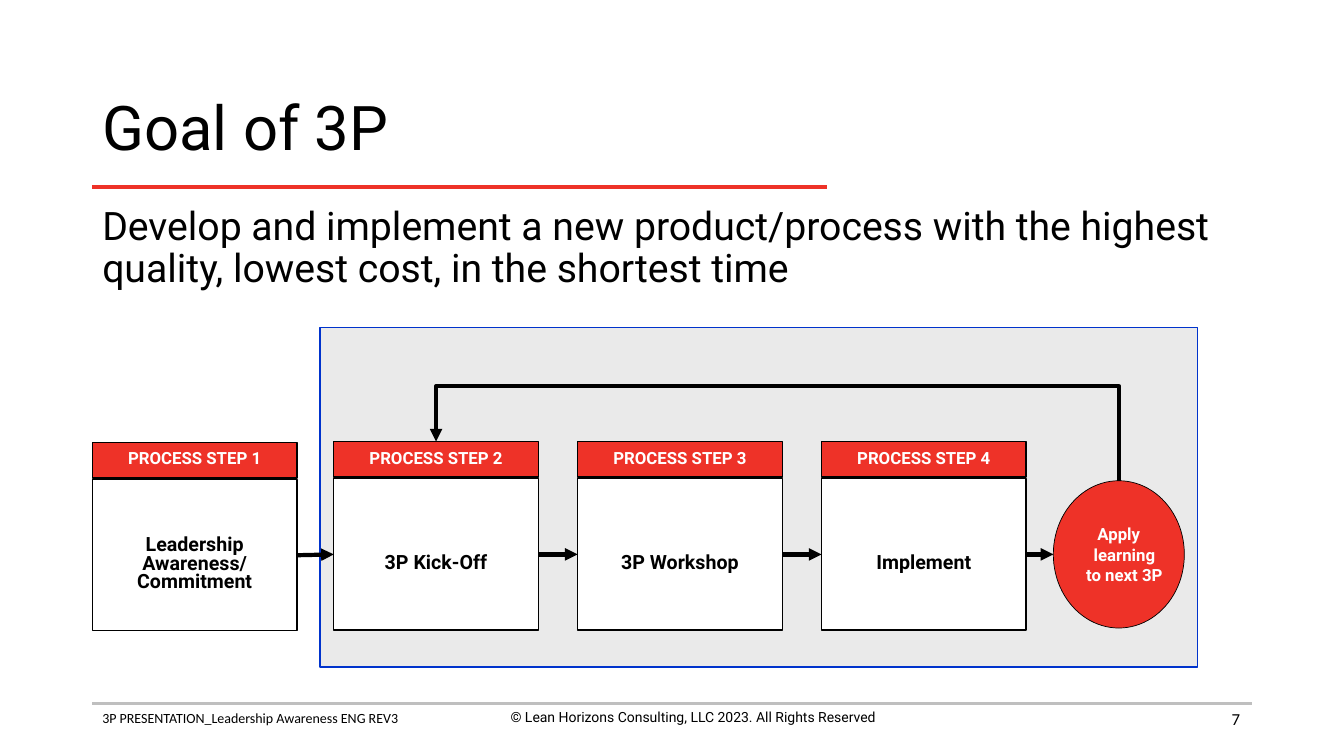
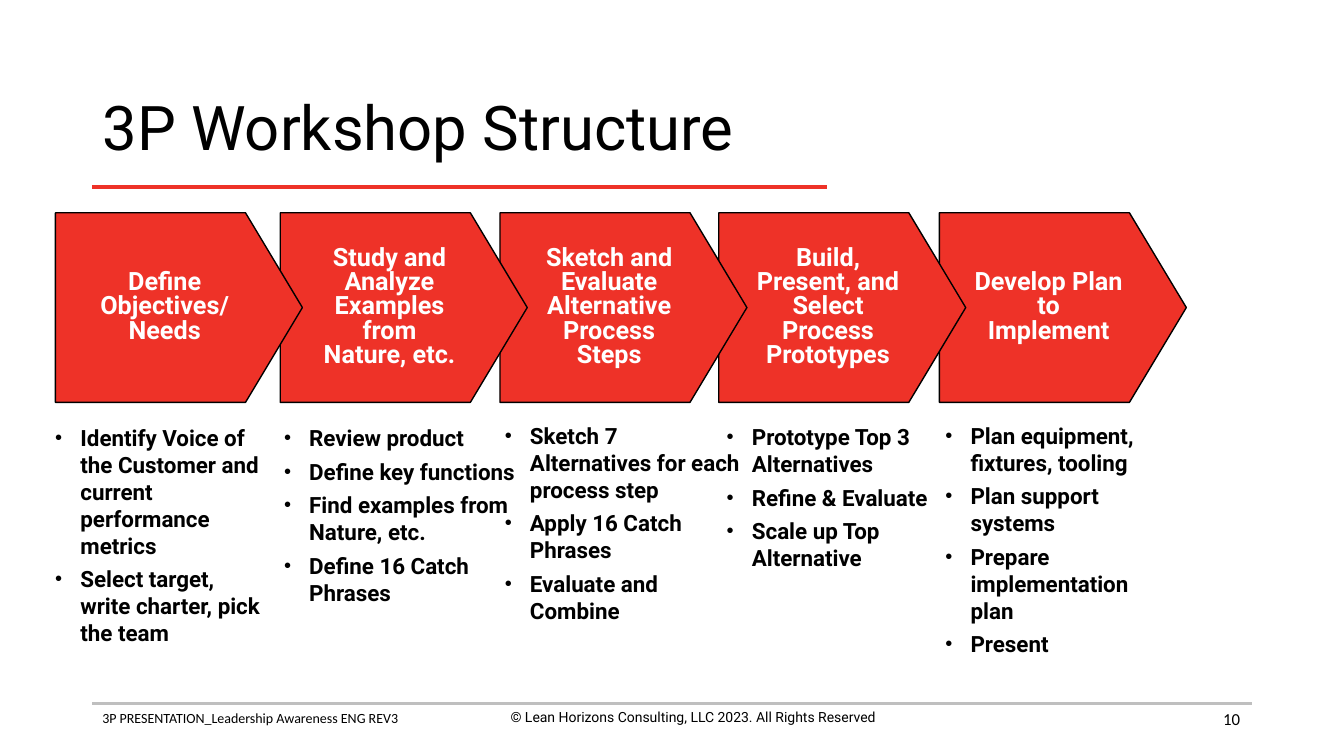
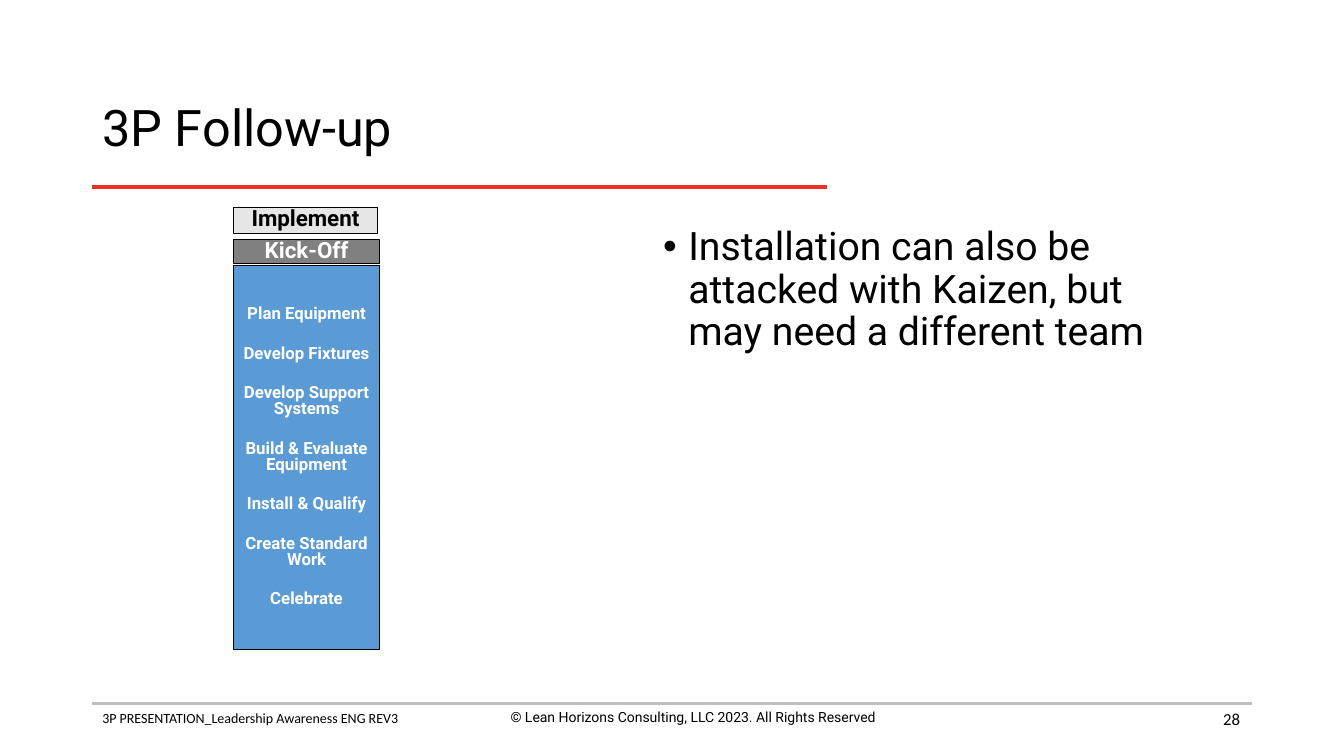
from pptx import Presentation
from pptx.dml.color import RGBColor
from pptx.enum import shapes, text
from pptx.oxml.ns import qn
from pptx.util import Pt
from lxml import etree

RED, BLACK, WHITE, RULE_GRAY = "EE3228", "000000", "FFFFFF", "BFBFBF"
LEFT, CENTER, RIGHT = text.PP_ALIGN.LEFT, text.PP_ALIGN.CENTER, text.PP_ALIGN.RIGHT
TOP, MIDDLE = text.MSO_ANCHOR.TOP, text.MSO_ANCHOR.MIDDLE
SHAPE, CONNECTOR = shapes.MSO_SHAPE, shapes.MSO_CONNECTOR


def rgb(hex_color):
    return RGBColor.from_string(hex_color)


def add_xml(parent, tag, **attributes):
    return etree.SubElement(parent, qn(tag), attributes)


class Deck:
    """The shared style and the slide being built."""

    font = "Roboto"
    margin, content_width = 66, 828

    def __init__(self):
        self.prs = Presentation()
        self.prs.slide_width, self.prs.slide_height = Pt(960), Pt(540)
        self.slide = None

    def new_slide(self, title, number, title_size=44):
        self.slide = self.prs.slides.add_slide(self.prs.slide_layouts[5])
        # Footer and rules
        right = self.margin + self.content_width
        self.line((self.margin, 502.5), (right, 502.5), RULE_GRAY, 2)
        self.textbox((self.margin, 503.5, 328, 32),
                     ["3P PRESENTATION_Leadership Awareness ENG REV3"], 10, font="Calibri")
        self.textbox((331, 502.5, 328, 32),
                     ["© Lean Horizons Consulting, LLC 2023. All Rights Reserved"],
                     10, align=CENTER)
        self.line((self.margin, 133.5), (590.5, 133.5), RED, 3)
        self.textbox((677, 499, 216, 29), [number], 12, font="Calibri",
                     align=RIGHT, anchor=MIDDLE)
        # Title
        heading = self.slide.shapes.title
        heading.left, heading.top = Pt(self.margin), Pt(53.5)
        heading.width, heading.height = Pt(self.content_width), Pt(79)
        self.set_text(heading, [title], title_size, spacing=0.9, anchor=MIDDLE)

    def set_text(self, shape, paragraphs, size, color=BLACK, bold=False, font=None,
                 align=LEFT, anchor=TOP, spacing=None, before=0, bullet=None,
                 hanging=0, insets=(7.2, 3.6, 7.2, 3.6), wrap=True):
        """Fill a shape with text; bullet is the bullet size in percent."""
        frame = shape.text_frame
        frame.auto_size = text.MSO_AUTO_SIZE.NONE
        frame.word_wrap = wrap
        frame.vertical_anchor = anchor
        (frame.margin_left, frame.margin_top,
         frame.margin_right, frame.margin_bottom) = map(Pt, insets)
        for i, words in enumerate(paragraphs):
            p = frame.add_paragraph() if i else frame.paragraphs[0]
            p.text = words
            p.alignment = align
            if spacing:
                p.line_spacing = spacing
            p.space_before = Pt(before if i else 0)
            properties = p._p.get_or_add_pPr()
            if hanging:
                properties.set("marL", str(Pt(hanging)))
                properties.set("indent", str(-Pt(hanging)))
            if bullet:
                add_xml(properties, "a:buSzPct", val=str(bullet * 1000))
                add_xml(properties, "a:buFont", typeface="Arial")
                add_xml(properties, "a:buChar", char="•")
            p.font.name = font or self.font
            p.font.size = Pt(size)
            p.font.bold = bold
            p.font.color.rgb = rgb(color)

    def textbox(self, box, paragraphs, size, **style):
        self.set_text(self.slide.shapes.add_textbox(*map(Pt, box)), paragraphs, size, **style)

    def shape(self, kind, box, fill, words=(), size=12, line=BLACK, line_width=1, **style):
        """A filled shape, with bold centred text if there is any."""
        part = self.slide.shapes.add_shape(kind, *map(Pt, box))
        part.shadow.inherit = False
        part.fill.solid()
        part.fill.fore_color.rgb = rgb(fill)
        part.line.color.rgb = rgb(line)
        part.line.width = Pt(line_width)
        if words:
            self.set_text(part, words, size, bold=True, align=CENTER, anchor=MIDDLE, **style)
        return part

    def line(self, start, end, color=BLACK, width=3, arrow=False, kind=CONNECTOR.STRAIGHT):
        connector = self.slide.shapes.add_connector(kind, *map(Pt, (*start, *end)))
        connector.line.color.rgb = rgb(color)
        connector.line.width = Pt(width)
        properties = connector._element.spPr
        if arrow:
            add_xml(properties.find(qn("a:ln")), "a:tailEnd", type="triangle")
        add_xml(properties, "a:effectLst")
        return connector

    def loop_back(self, start, end, peak):
        """An elbow arrow that leaves upwards, runs left at peak and drops to end."""
        (x1, y1), (x2, y2) = start, end
        mid_x, mid_y = (x1 + x2) / 2, (y1 + y2) / 2
        rise, run = y1 - y2, x1 - x2
        # Laid out upright, then turned a quarter to the left
        connector = self.line((mid_x - rise / 2, mid_y + run / 2),
                              (mid_x + rise / 2, mid_y - run / 2),
                              arrow=True, kind=CONNECTOR.ELBOW)
        properties = connector._element.spPr
        properties.find(qn("a:xfrm")).set("rot", str(270 * 60000))
        bend = round((y1 - peak) / rise * 100000)
        guides = properties.find(qn("a:prstGeom")).find(qn("a:avLst"))
        add_xml(guides, "a:gd", name="adj1", fmla=f"val {bend}")


def goal_slide(deck):
    deck.new_slide("Goal of 3P", "7")
    deck.textbox((66, 144, 828, 343),
                 ["Develop and implement a new product/process with the highest quality, "
                  "lowest cost, in the shortest time"], 28, spacing=0.9)

    # Repeating part of the process
    deck.shape(SHAPE.RECTANGLE, (228.5, 234, 627, 242.5), "EAEAEA", line="0033CC")
    next_3p = deck.shape(SHAPE.OVAL, (752.4, 343.4, 93.6, 105.2), RED,
                         ["Apply\nlearning\nto next 3P"], color=WHITE, line_width=0.5,
                         hanging=8, insets=(3.6,) * 4, wrap=False)

    # Steps: left, top, task
    steps = [(66, 316, "Leadership\nAwareness/ Commitment"),
             (238.4, 315.4, "3P Kick-Off"),
             (412.6, 315.4, "3P Workshop"),
             (586.8, 315.4, "Implement")]
    tasks = []
    for number, (left, top, task) in enumerate(steps, 1):
        tasks.append(deck.shape(SHAPE.RECTANGLE, (left, top + 26.6, 146.2, 108), WHITE,
                                [task], 14, spacing=0.8, insets=(7.2, 16.6, 7.2, 3.6)))
        deck.shape(SHAPE.RECTANGLE, (left, top, 146.2, 25.4), RED,
                   [f"PROCESS STEP {number}"], color=WHITE, spacing=0.8, wrap=False)

    # Arrows
    for task, following in zip(tasks, tasks[1:] + [next_3p]):
        arrow = deck.line((0, 0), (752.4, 396), arrow=True)
        arrow.begin_connect(task, 3)
        if following is not next_3p:
            arrow.end_connect(following, 1)
    deck.loop_back((799.2, 343.4), (311.5, 315.4), peak=276)


def workshop_slide(deck):
    deck.new_slide("3P Workshop Structure", "10")
    # Phases: arrow left, heading, (list left, top, width), actions
    phases = [
        (39.6, "Define\nObjectives/\nNeeds", (32.4, 299.5, 163.4),
         ["Identify Voice of the Customer and current performance metrics",
          "Select target, write charter, pick the team"]),
        (200.2, "Study and\nAnalyze\nExamples\nfrom\nNature, etc.", (195.8, 299.5, 179.3),
         ["Review product", "Define key functions", "Find examples from Nature, etc.",
          "Define 16 Catch Phrases"]),
        (357.1, "Sketch and\nEvaluate\nAlternative\nProcess\nSteps", (353.5, 298, 183),
         ["Sketch 7 Alternatives for each process step", "Apply 16 Catch Phrases",
          "Evaluate and Combine"]),
        (513.4, "Build,\nPresent, and\nSelect\nProcess\nPrototypes", (512, 298.8, 179.3),
         ["Prototype Top 3 Alternatives", "Refine & Evaluate", "Scale up Top Alternative"]),
        (671, "Develop Plan\nto\nImplement", (668.2, 298, 177.8),
         ["Plan equipment, fixtures, tooling", "Plan support systems",
          "Prepare implementation plan", "Present"]),
    ]
    # Each arrow overlaps the next, so the last one is drawn first
    for left, heading, (list_left, list_top, list_width), actions in reversed(phases):
        phase = deck.shape(SHAPE.PENTAGON, (left, 152, 176.4, 135.4), RED, [heading], 18,
                           color=WHITE, spacing=0.8)
        phase.adjustments[0] = 0.3
        deck.textbox((list_left, list_top, list_width, 190), actions, 16, bold=True,
                     before=4.8, bullet=90, hanging=18)


def follow_up_slide(deck):
    deck.new_slide("3P Follow-up", "28", title_size=36)
    # Implementation column
    column = [
        ((166.6, 147.9, 103.2, 19.2), "E7E6E6", ["Implement"], 16, BLACK),
        ((166.6, 189.4, 104.8, 274.6), "5B9BD5",
         ["Plan Equipment", "Develop Fixtures", "Develop Support Systems",
          "Build & Evaluate Equipment", "Install & Qualify", "Create Standard Work",
          "Celebrate"], 12, WHITE),
        ((167, 171.4, 104, 16.8), "808080", ["Kick-Off"], 16, WHITE),
    ]
    for box, fill, words, size, color in column:
        deck.shape(SHAPE.RECTANGLE, box, fill, words, size, line_width=0.75,
                   color=color, spacing=0.8, before=16.7)
    # Remark
    deck.textbox((466.6, 158.5, 394.6, 283),
                 ["Installation can also be attacked with Kaizen, but may need a different team"],
                 28, spacing=0.9, bullet=100, hanging=18)


def main():
    deck = Deck()
    goal_slide(deck)
    workshop_slide(deck)
    follow_up_slide(deck)
    deck.prs.save("out.pptx")


if __name__ == "__main__":
    main()
